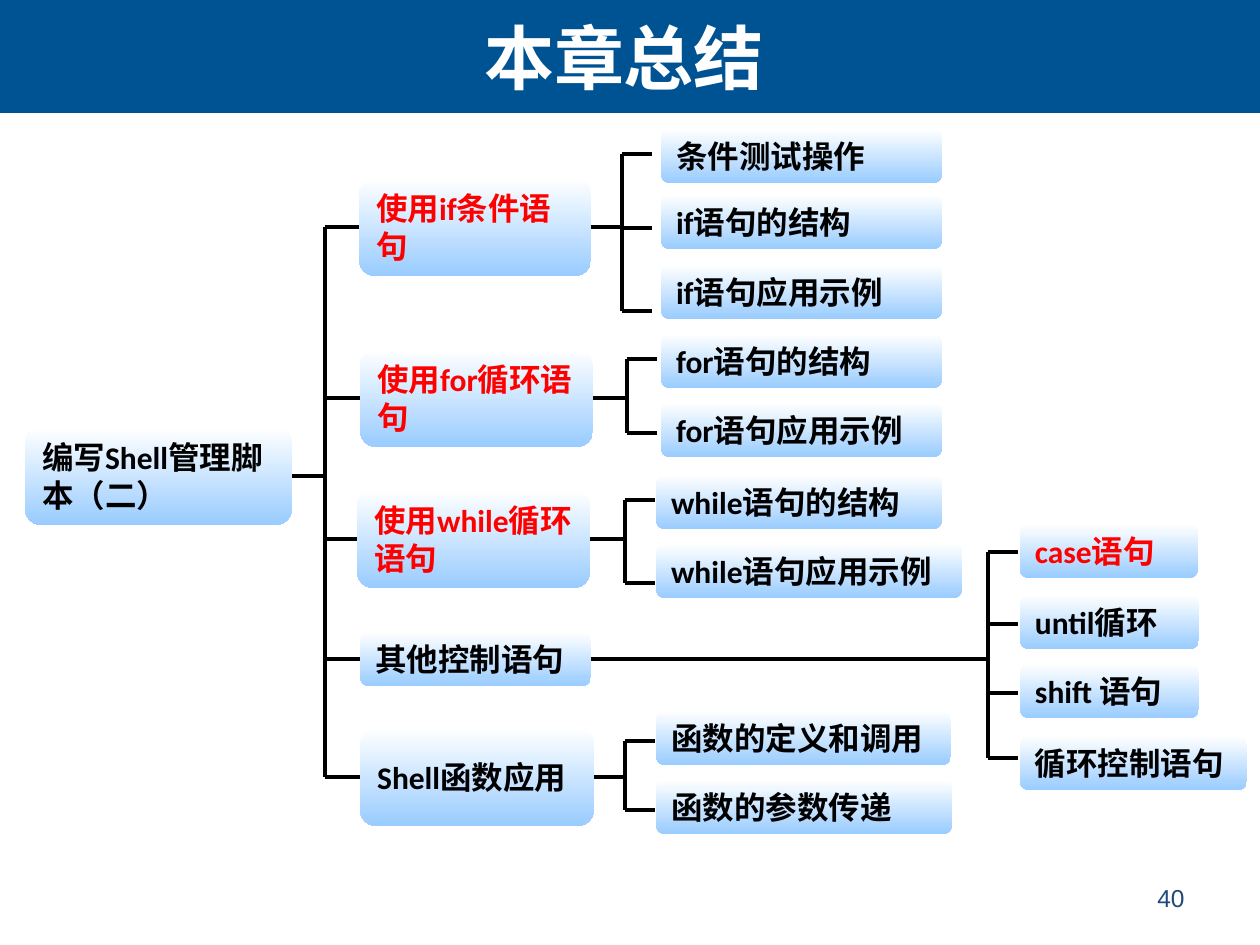
import pptx
import pptx.util
import pptx.dml.color
import pptx.enum.shapes
import pptx.enum.text
import pptx.oxml.ns
import lxml.etree

RGB = pptx.dml.color.RGBColor
WHITE = RGB(0xFF, 0xFF, 0xFF)
BLACK = RGB(0x00, 0x00, 0x00)
RED = RGB(0xFF, 0x00, 0x00)
SKY = RGB(0x99, 0xCC, 0xFF)
BANNER_BLUE = RGB(0x00, 0x53, 0x92)
NAVY = RGB(0x1F, 0x49, 0x7D)

SHAPES = pptx.enum.shapes.MSO_SHAPE
ALIGN = pptx.enum.text.PP_ALIGN
MIDDLE = pptx.enum.text.MSO_ANCHOR.MIDDLE
LEFT_SIDE, RIGHT_SIDE = 1, 3

EMU_PER_PX = 914400 / 126
TALL, LOW = 98, 54  # box heights for topics and for single lines
TICK = 30
SPINE_X = 325

# Topic: text, colour, left, top, width, height;
# bracket: x of the trunk, y of each tick;
# leaves: text, colour, left, top, width.
BRANCHES = [
    (("使用if条件语句", RED, 359, 178, 232, TALL), (622, [154, 228, 311]),
     [("条件测试操作", BLACK, 661, 129, 281),
      ("if语句的结构", BLACK, 661, 195, 281),
      ("if语句应用示例", BLACK, 661, 265, 281)]),
    (("使用for循环语句", RED, 360, 349, 233, TALL), (627, [359, 433]),
     [("for语句的结构", BLACK, 661, 334, 281),
      ("for语句应用示例", BLACK, 661, 403, 281)]),
    (("使用while循环语句", RED, 357, 490, 233, TALL), (625, [500, 583]),
     [("while语句的结构", BLACK, 656, 475, 286),
      ("while语句应用示例", BLACK, 656, 544, 306)]),
    (("其他控制语句", BLACK, 360, 632, 231, LOW), (988, [552, 624, 693, 758]),
     [("case语句", RED, 1020, 524, 178),
      ("until循环", BLACK, 1020, 595, 179),
      ("shift 语句", BLACK, 1020, 664, 179),
      ("循环控制语句", BLACK, 1020, 736, 227)]),
    (("Shell函数应用", BLACK, 360, 728, 234, TALL), (625, [741, 810]),
     [("函数的定义和调用", BLACK, 656, 711, 295),
      ("函数的参数传递", BLACK, 656, 780, 296)]),
]


def px(*lengths):
    return [pptx.util.Emu(round(length * EMU_PER_PX)) for length in lengths]


class MindMap:
    line_width = pptx.util.Pt(2.25)
    box_size = 18

    def __init__(self, slide):
        self.slide = slide

    def set_text(self, frame, text, size, font, color, bold, align):
        frame.word_wrap = True
        frame.vertical_anchor = MIDDLE
        frame.text = text
        paragraph = frame.paragraphs[0]
        paragraph.alignment = align
        style = paragraph.runs[0].font
        style.size = pptx.util.Pt(size)
        style.name = font
        style.bold = bold
        style.color.rgb = color

    def banner(self, width, height):
        bar = self.slide.shapes.add_shape(SHAPES.RECTANGLE, *px(0, 0, width, height))
        bar.shadow.inherit = False
        bar.fill.solid()
        bar.fill.fore_color.rgb = BANNER_BLUE
        bar.line.fill.background()

    def label(self, text, left, top, width, height, size, color, bold, align):
        area = self.slide.shapes.add_textbox(*px(left, top, width, height))
        self.set_text(area.text_frame, text, size, "Arial", color, bold, align)

    def box(self, text, color, left, top, width, height=LOW):
        node = self.slide.shapes.add_shape(
            SHAPES.ROUNDED_RECTANGLE, *px(left, top, width, height))
        node.shadow.inherit = False
        node.line.fill.background()
        node.fill.gradient()
        node.fill.gradient_angle = 270
        for stop, shade in zip(node.fill.gradient_stops, (WHITE, SKY)):
            stop.color.rgb = shade
        self.set_text(node.text_frame, text, self.box_size, "Calibri", color, True, ALIGN.LEFT)
        node.text_frame.auto_size = pptx.enum.text.MSO_AUTO_SIZE.SHAPE_TO_FIT_TEXT
        return node

    def line(self, x1, y1, x2, y2):
        link = self.slide.shapes.add_connector(
            pptx.enum.shapes.MSO_CONNECTOR.STRAIGHT, *px(x1, y1, x2, y2))
        link.line.color.rgb = BLACK
        link.line.width = self.line_width
        properties = link._element.spPr
        lxml.etree.SubElement(properties, pptx.oxml.ns.qn("a:effectLst"))
        return link

    def join(self, node, side, x, y):
        """Draw a level line from the middle of a node's side to x."""
        self.line(x, y, x, y).begin_connect(node, side)

    def bracket(self, trunk_x, tick_ys):
        self.line(trunk_x, tick_ys[0], trunk_x, tick_ys[-1])
        for y in tick_ys:
            self.line(trunk_x, y, trunk_x + TICK, y)


def main():
    deck = pptx.Presentation()
    deck.slide_width, deck.slide_height = px(1260, 945)
    slide = deck.slides.add_slide(deck.slide_layouts[6])
    slide.background.fill.solid()
    slide.background.fill.fore_color.rgb = WHITE
    chapter = MindMap(slide)

    chapter.banner(1260, 113)
    chapter.label("本章总结", 2, 0, 1244, 113, 40, WHITE, True, ALIGN.CENTER)
    chapter.label("40", 882, 873, 315, 50, 14, NAVY, False, ALIGN.RIGHT)

    root_top = 427
    root = chapter.box("编写Shell管理脚本（二）", BLACK, 25, root_top, 267, TALL)
    chapter.join(root, RIGHT_SIDE, SPINE_X, root_top + TALL // 2)

    topic_middles = []
    for topic, (trunk_x, tick_ys), leaves in BRANCHES:
        top, height = topic[3], topic[5]
        middle = top + height // 2
        topic_middles.append(middle)
        node = chapter.box(*topic)
        chapter.join(node, LEFT_SIDE, SPINE_X, middle)
        chapter.join(node, RIGHT_SIDE, trunk_x, middle)
        chapter.bracket(trunk_x, tick_ys)
        for leaf in leaves:
            chapter.box(*leaf)
    chapter.line(SPINE_X, topic_middles[0], SPINE_X, topic_middles[-1])

    deck.save("out.pptx")


if __name__ == "__main__":
    main()
